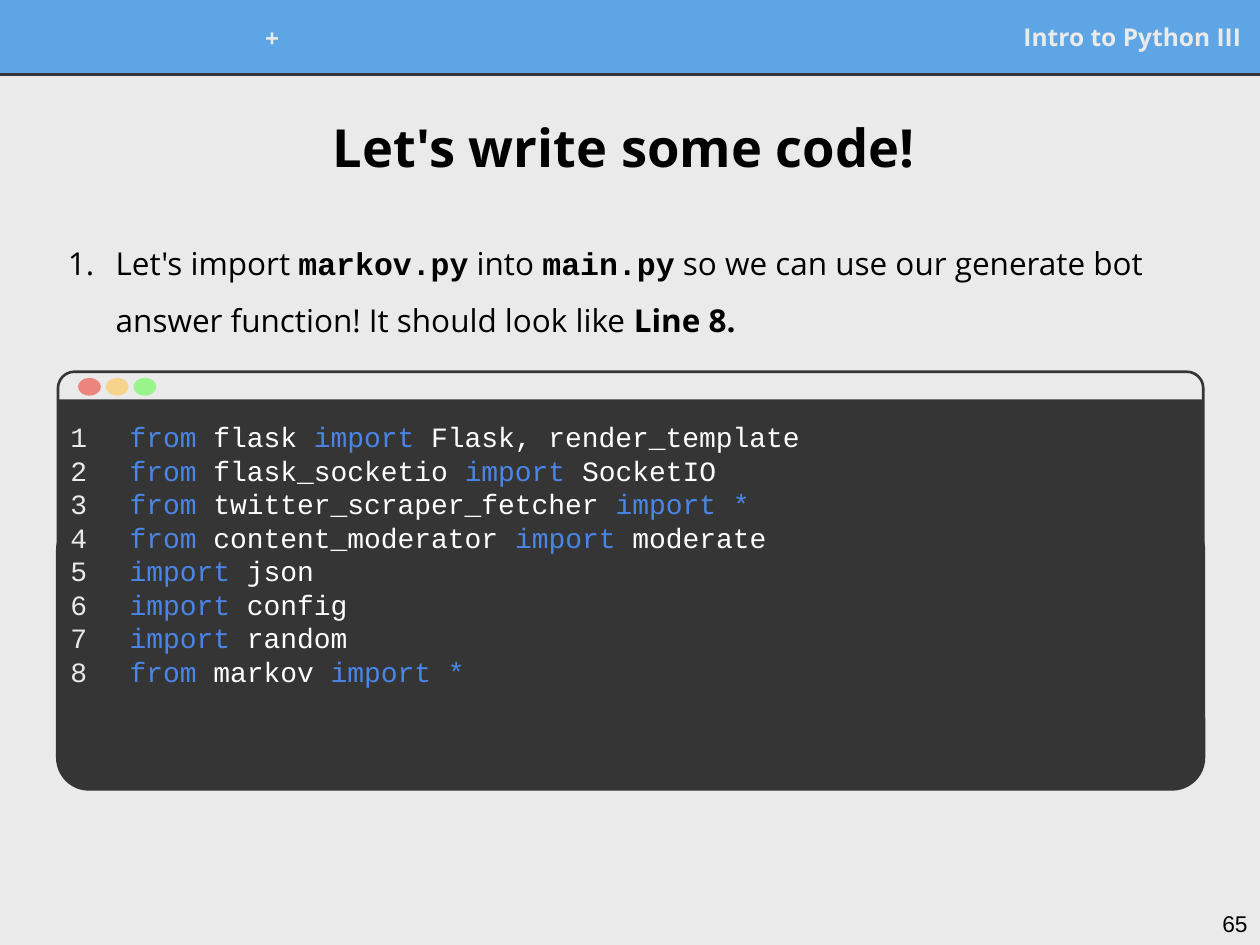
from dataclasses import dataclass

from lxml import etree
from pptx import Presentation
from pptx.dml.color import RGBColor
from pptx.enum import shapes, text
from pptx.oxml.ns import qn
from pptx.util import Inches, Pt

COLORS = {
    "page": "EAEAEA",
    "header": "5EA5E5",
    "dark": "353535",
    "black": "000000",
    "white": "FFFFFF",
    "keyword": "4A86E8",
    "red": "ED857F",
    "yellow": "F7D48B",
    "green": "99F48C",
}
SANS, MONO = "Open Sans", "Courier New"
KEYWORDS = {"from", "import", "*"}
CODE = """\
from flask import Flask, render_template
from flask_socketio import SocketIO
from twitter_scraper_fetcher import *
from content_moderator import moderate
import json
import config
import random
from markov import *""".splitlines()


@dataclass
class Frame:
    left: float
    top: float
    width: float
    height: float

    def lengths(self) -> list:
        return [Inches(n) for n in (self.left, self.top, self.width, self.height)]


@dataclass
class Span:
    text: str
    font: str | None = None
    bold: bool | None = None
    color: str | None = None


@dataclass
class Style:
    size: float
    font: str = SANS
    color: str = "black"
    bold: bool = False
    align: text.PP_ALIGN = text.PP_ALIGN.LEFT
    anchor: text.MSO_ANCHOR = text.MSO_ANCHOR.MIDDLE
    numbered: bool = False


def rgb(name: str) -> RGBColor:
    return RGBColor.from_string(COLORS[name])


def add_number(paragraph) -> None:
    """Number the paragraph with a hanging indent and wide line spacing."""
    paragraph.line_spacing = 1.5
    properties = paragraph._p.get_or_add_pPr()
    properties.set("marL", str(Inches(0.5)))
    properties.set("indent", str(Inches(-0.38)))
    bullet_color = etree.SubElement(properties, qn("a:buClr"))
    etree.SubElement(bullet_color, qn("a:srgbClr"), val=COLORS["black"])
    etree.SubElement(properties, qn("a:buAutoNum"), type="arabicPeriod")


def write(box, lines: list[list[Span]], style: Style) -> None:
    frame = box.text_frame
    frame.word_wrap = True
    frame.auto_size = text.MSO_AUTO_SIZE.NONE
    frame.vertical_anchor = style.anchor
    frame.margin_left = frame.margin_right = Inches(0.1)
    frame.margin_top = frame.margin_bottom = Inches(0.1)
    for index, line in enumerate(lines):
        paragraph = frame.add_paragraph() if index else frame.paragraphs[0]
        paragraph.alignment = style.align
        if style.numbered:
            add_number(paragraph)
        paragraph.font.size = Pt(style.size)
        paragraph.font.name = style.font
        paragraph.font.bold = style.bold
        paragraph.font.color.rgb = rgb(style.color)
        for span in line:
            run = paragraph.add_run()
            run.text = span.text
            if span.font:
                run.font.name = span.font
            if span.bold is not None:
                run.font.bold = span.bold
            if span.color:
                run.font.color.rgb = rgb(span.color)


def add_text(parent, frame: Frame, lines: list[list[Span]], style: Style) -> None:
    write(parent.add_textbox(*frame.lengths()), lines, style)


def add_shape(parent, kind, frame: Frame, fill: str | None = None,
              line: str | None = None, weight: float = 0.75,
              corner: float | None = None) -> None:
    shape = parent.add_shape(kind, *frame.lengths())
    shape.shadow.inherit = False
    if corner is not None:
        shape.adjustments[0] = corner
    if fill:
        shape.fill.solid()
        shape.fill.fore_color.rgb = rgb(fill)
    else:
        shape.fill.background()
    if line:
        shape.line.color.rgb = rgb(line)
        shape.line.width = Pt(weight)
    else:
        shape.line.fill.background()


def color_code(line: str) -> list[Span]:
    words = line.split(" ")
    return [Span(word + (" " if index < len(words) - 1 else ""),
                 color="keyword" if word in KEYWORDS else None)
            for index, word in enumerate(words)]


def add_header(page) -> None:
    add_shape(page.shapes, shapes.MSO_SHAPE.RECTANGLE, Frame(0, 0, 10, 0.59),
              "header", "header")
    rule = page.shapes.add_connector(shapes.MSO_CONNECTOR.STRAIGHT, 0, Inches(0.59),
                                     Inches(10), Inches(0.59))
    rule.line.color.rgb = rgb("dark")
    rule.line.width = Pt(1.5)
    etree.SubElement(rule._element.spPr, qn("a:effectLst"))
    add_text(page.shapes, Frame(6.24, 0.1, 3.71, 0.38), [[Span("Intro to Python III")]],
             Style(14, color="page", bold=True, align=text.PP_ALIGN.RIGHT))
    add_text(page.shapes, Frame(1.86, 0.11, 0.6, 0.38), [[Span("+")]],
             Style(14, color="page", bold=True, align=text.PP_ALIGN.CENTER))


def add_code_window(page) -> None:
    window = page.shapes.add_group_shape().shapes
    rounded = shapes.MSO_SHAPE.ROUNDED_RECTANGLE
    add_shape(window, rounded, Frame(0.46, 2.95, 9.09, 2.38),
              line="dark", weight=1.5, corner=0.055)
    add_shape(window, shapes.MSO_SHAPE.RECTANGLE, Frame(0.46, 3.17, 9.09, 2.85), "dark")
    add_shape(window, rounded, Frame(0.46, 4.12, 9.09, 2.14),
              "dark", "dark", 2.25, 0.115)
    for index, color in enumerate(("red", "yellow", "green")):
        add_shape(window, shapes.MSO_SHAPE.OVAL,
                  Frame(0.62 + 0.22 * index, 3, 0.18, 0.14), color)
    top = text.MSO_ANCHOR.TOP
    add_text(window, Frame(0.93, 3.23, 8.45, 2.96), [color_code(line) for line in CODE],
             Style(16, MONO, "white", anchor=top))
    add_text(window, Frame(0.46, 3.23, 0.56, 3.1),
             [[Span(str(number))] for number in range(1, len(CODE) + 1)],
             Style(16, MONO, "page", anchor=top))


def main() -> None:
    deck = Presentation()
    deck.slide_width, deck.slide_height = Inches(10), Inches(7.5)
    page = deck.slides.add_slide(deck.slide_layouts[5])
    page.background.fill.solid()
    page.background.fill.fore_color.rgb = rgb("page")

    add_header(page)
    title = page.shapes.title
    title.left, title.top, title.width, title.height = Frame(0.18, 0.71, 9.65, 0.9).lengths()
    write(title, [[Span("Let's write some code! ")]],
          Style(30, bold=True, align=text.PP_ALIGN.CENTER))
    add_text(page.shapes, Frame(0.32, 1.71, 9.37, 1.06), [[
        Span("Let's import "),
        Span("markov.py", MONO, True),
        Span(" into "),
        Span("main.py", MONO, True),
        Span(" so we can use our generate bot answer function! It should look like "),
        Span("Line 8.", bold=True),
    ]], Style(18, numbered=True))
    add_code_window(page)
    add_text(page.shapes, Frame(9.4, 7.12, 0.6, 0.38), [[Span("65")]],
             Style(13, "Arial", align=text.PP_ALIGN.RIGHT, anchor=text.MSO_ANCHOR.TOP))
    deck.save("out.pptx")


if __name__ == "__main__":
    main()
